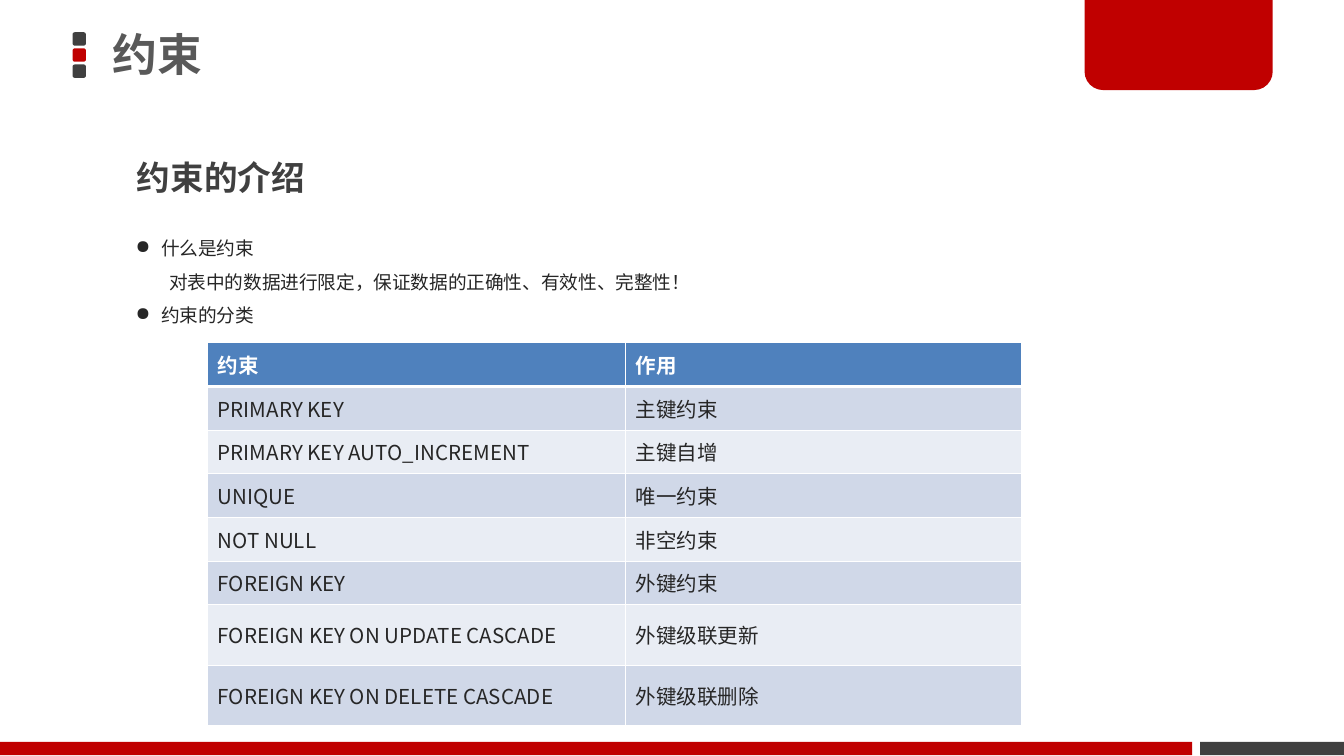
from lxml.etree import SubElement
from pptx import Presentation
from pptx.dml.color import RGBColor
from pptx.enum.shapes import MSO_SHAPE
from pptx.enum.text import MSO_ANCHOR
from pptx.oxml import parse_xml
from pptx.oxml.ns import nsdecls, qn
from pptx.util import Inches, Pt

# Content
TITLE = "约束"
HEADING = "约束的介绍"
NOTES = [  # text, has bullet
    ("什么是约束", True),
    ("对表中的数据进行限定，保证数据的正确性、有效性、完整性！", False),
    ("约束的分类", True),
]
ROWS = [
    ("约束", "作用"),
    ("PRIMARY KEY", "主键约束"),
    ("PRIMARY KEY AUTO_INCREMENT", "主键自增"),
    ("UNIQUE", "唯一约束"),
    ("NOT NULL", "非空约束"),
    ("FOREIGN KEY", "外键约束"),
    ("FOREIGN KEY ON UPDATE CASCADE", "外键级联更新"),
    ("FOREIGN KEY ON DELETE CASCADE", "外键级联删除"),
]
COLS = (3.11, 2.95)
TALL, HIGH = 0.45, 2.85  # height of the last two rows, of the whole table

THEME = {
    "font": "Noto Sans CJK SC",
    "red": "C00000", "dark": "404040", "white": "FFFFFF",
    "head": "4F81BD", "bands": ("E9EDF4", "D0D8E8"),
    "title": {"size": 24, "bold": True, "color": "595959"},
    "heading": {"size": 18, "bold": True, "color": "404040"},
    "body": {"size": 10, "bold": False, "color": "262626"},
    "top": {"size": 11, "bold": True, "color": "FFFFFF"},
    "cell": {"size": 11, "bold": False, "color": "262626"},
}


def block(kind, box, fill, adjust=()):
    shape = slide.shapes.add_shape(kind, *map(Inches, box))
    shape.shadow.inherit = False
    shape.fill.solid()
    shape.fill.fore_color.rgb = RGBColor.from_string(fill)
    shape.line.fill.background()
    for i, value in enumerate(adjust):
        shape.adjustments[i] = value


def write(para, text, style):
    run = para.add_run()
    run.text = text
    look = THEME[style]
    values = {"size": Pt(look["size"]), "bold": look["bold"], "name": THEME["font"]}
    for key, value in values.items():
        setattr(run.font, key, value)
    run.font.color.rgb = RGBColor.from_string(look["color"])
    SubElement(run.font._element, qn("a:ea"), typeface=THEME["font"])


def frame(box, pads, anchor=MSO_ANCHOR.TOP):
    text = slide.shapes.add_textbox(*map(Inches, box)).text_frame
    text.word_wrap = True
    text.vertical_anchor = anchor
    for side, pad in zip(("left", "top", "right", "bottom"), pads):
        setattr(text, f"margin_{side}", Inches(pad))
    return text


def indent(para, bullet):
    props = para._p.get_or_add_pPr()
    left, first = (0.19, -0.19) if bullet else (0.25, 0)
    props.set("marL", str(Inches(left)))
    props.set("indent", str(Inches(first)))
    if bullet:
        color = SubElement(props, qn("a:buClr"))
        SubElement(color, qn("a:srgbClr"), val=THEME["body"]["color"])
        SubElement(props, qn("a:buChar"), char="●")


def border(cell, widths):
    props = cell._tc.get_or_add_tcPr()
    for i, (side, width) in enumerate(widths.items()):
        props.insert(i, parse_xml(
            f'<a:ln{side} {nsdecls("a")} w="{Pt(width)}"><a:solidFill>'
            f'<a:srgbClr val="{THEME["white"]}"/></a:solidFill></a:ln{side}>'))


# Widescreen slide, 16 to 9
deck = Presentation()
deck.slide_width = Inches(10)
deck.slide_height = Inches(10 * 9 / 16)
slide = deck.slides.add_slide(deck.slide_layouts[6])

# Three small squares beside the title
for i, tone in enumerate(("dark", "red", "dark")):
    block(MSO_SHAPE.ROUNDED_RECTANGLE, (0.54, 0.24 + 0.12 * i, 0.1, 0.1),
          THEME[tone], (0.17,))

# Footer bars and corner tab
block(MSO_SHAPE.RECTANGLE, (8.93, 5.52, 1.07, 0.1), THEME["dark"])
block(MSO_SHAPE.ROUND_2_SAME_RECTANGLE, (8.07, -0.02, 1.4, 0.69), THEME["red"], (0, 0.2))
block(MSO_SHAPE.RECTANGLE, (0, 5.52, 8.87, 0.1), THEME["red"])

# Title and heading
para = frame((0.69, -0.02, 5.89, 0.89), (0.15, 0.04, 0.08, 0.04),
             MSO_ANCHOR.MIDDLE).paragraphs[0]
para.line_spacing = 0.9
write(para, TITLE, "title")
para = frame((0.92, 0.97, 4.47, 0.55), (0.1, 0.05, 0.1, 0.05)).paragraphs[0]
para.line_spacing = 1.5
write(para, HEADING, "heading")

# Bulleted notes
text = frame((0.91, 1.63, 7.32, 0.85), (0.1, 0.05, 0.1, 0.05))
for i, (note, bullet) in enumerate(NOTES):
    para = text.add_paragraph() if i else text.paragraphs[0]
    para.line_spacing = 1.5
    indent(para, bullet)
    write(para, note, "body")

# Table of constraints
table = slide.shapes.add_table(len(ROWS), len(COLS), *map(
    Inches, (1.54, 2.55, sum(COLS), HIGH))).table
for col, width in zip(table.columns, COLS):
    col.width = Inches(width)
short = (HIGH - 2 * TALL) / (len(ROWS) - 2)
pads = {"margin_left": 0.08, "margin_right": 0.08,
        "margin_top": 0.05, "margin_bottom": 0.05}
for r, row in enumerate(ROWS):
    table.rows[r].height = Inches(TALL if r >= len(ROWS) - 2 else short)
    for c, label in enumerate(row):
        cell = table.cell(r, c)
        for key, pad in pads.items():
            setattr(cell, key, Inches(pad))
        cell.vertical_anchor = MSO_ANCHOR.MIDDLE
        cell.fill.solid()
        fill = THEME["bands"][r % 2] if r else THEME["head"]
        cell.fill.fore_color.rgb = RGBColor.from_string(fill)
        border(cell, {"L": 0.45, "R": 0.45, "T": 1.47 if r == 1 else 0.45,
                      "B": 0.45 if r else 1.47})
        write(cell.text_frame.paragraphs[0], label, "cell" if r else "top")

deck.save("out.pptx")
